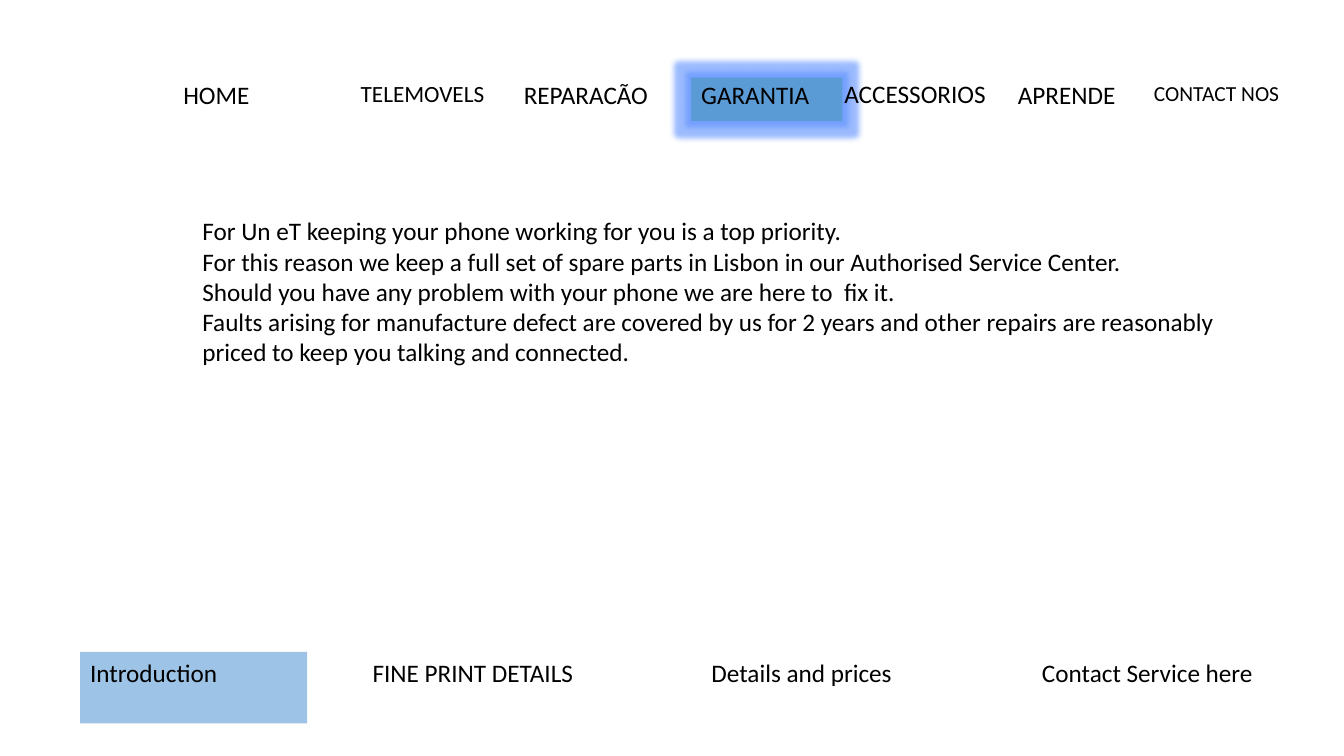
from lxml.etree import SubElement
from pptx import Presentation
from pptx.dml.color import RGBColor
from pptx.enum.shapes import MSO_SHAPE
from pptx.enum.text import MSO_ANCHOR, PP_ALIGN
from pptx.oxml.ns import qn
from pptx.util import Cm, Pt

FONT = "Calibri"
BLACK = RGBColor(0x00, 0x00, 0x00)
ACTIVE_PAGE = RGBColor(0x5B, 0x9B, 0xD5)
ACTIVE_SECTION = RGBColor(0x9D, 0xC3, 0xE6)
GLOW = RGBColor(0x5B, 0x8F, 0xFF)

# label, left, top, width (cm), font size, line spacing, fill
MENU = [
    ("HOME", 4.37, 1.96, 3.81, 18, 0.9, None),
    ("TELEMOVELS", 8.84, 1.96, 3.81, 16.6, 0.9, None),
    ("REPARACÃO", 12.95, 1.96, 3.81, 18, 0.9, None),
    ("GARANTIA", 17.42, 1.96, 3.81, 18, 0.9, ACTIVE_PAGE),
    ("ACCESSORIOS", 21.03, 1.93, 4.24, 18, 0.9, None),
    ("APRENDE", 25.4, 1.96, 3.81, 18, 0.9, None),
    ("CONTACT NOS", 28.83, 2.03, 3.81, 15.3, 0.8, None),
]
MESSAGE = [
    "For Un eT keeping your phone working for you is a top priority.",
    "For this reason we keep a full set of spare parts in Lisbon in our Authorised Service Center.",
    "Should you have any problem with your phone we are here to  fix it.",
    "Faults arising for manufacture defect are covered by us for 2 years and other repairs are reasonably",
    "priced to keep you talking and connected.",
]
# label, left, width (cm), fill
SECTIONS = [
    ("Introduction", 2.02, 5.72, ACTIVE_SECTION),
    ("FINE PRINT DETAILS", 9.14, 5.72, None),
    ("Details and prices", 17.68, 5.72, None),
    ("Contact Service here", 26.01, 6.88, None),
]
MENU_HEIGHT = 1.09
SECTION_TOP, SECTION_HEIGHT = 16.43, 1.8


def add_label(slide, lines, left, top, width, height, size=18, spacing=1.0, fill=None):
    """Add a text box, or a filled rectangle when a fill is given."""
    box = Cm(left), Cm(top), Cm(width), Cm(height)
    if fill is None:
        shape = slide.shapes.add_textbox(*box)
    else:
        shape = slide.shapes.add_shape(MSO_SHAPE.RECTANGLE, *box)
        shape.shadow.inherit = False
        shape.fill.solid()
        shape.fill.fore_color.rgb = fill
        shape.line.fill.background()
    frame = shape.text_frame
    frame.word_wrap = True
    frame.vertical_anchor = MSO_ANCHOR.TOP
    frame.text = "\n".join(lines)
    for paragraph in frame.paragraphs:
        paragraph.alignment = PP_ALIGN.LEFT
        paragraph.line_spacing = spacing
        paragraph.font.name = FONT
        paragraph.font.size = Pt(size)
        paragraph.font.color.rgb = BLACK
    return shape


def add_glow(shape, radius):
    effects = shape._element.spPr.find(qn("a:effectLst"))
    glow = SubElement(effects, qn("a:glow"), rad=str(radius))
    color = SubElement(glow, qn("a:srgbClr"), val=str(GLOW))
    SubElement(color, qn("a:alpha"), val="60000")


def main():
    presentation = Presentation()
    presentation.slide_width, presentation.slide_height = Cm(33.87), Cm(19.05)
    slide = presentation.slides.add_slide(presentation.slide_layouts[6])

    for label, left, top, width, size, spacing, fill in MENU:
        item = add_label(slide, [label], left, top, width, MENU_HEIGHT, size, spacing, fill)
        if fill is not None:
            add_glow(item, Pt(8))

    add_label(slide, MESSAGE, 4.85, 5.31, 26.47, 4.11)

    for label, left, width, fill in SECTIONS:
        add_label(slide, [label], left, SECTION_TOP, width, SECTION_HEIGHT, fill=fill)

    presentation.save("out.pptx")


if __name__ == "__main__":
    main()
